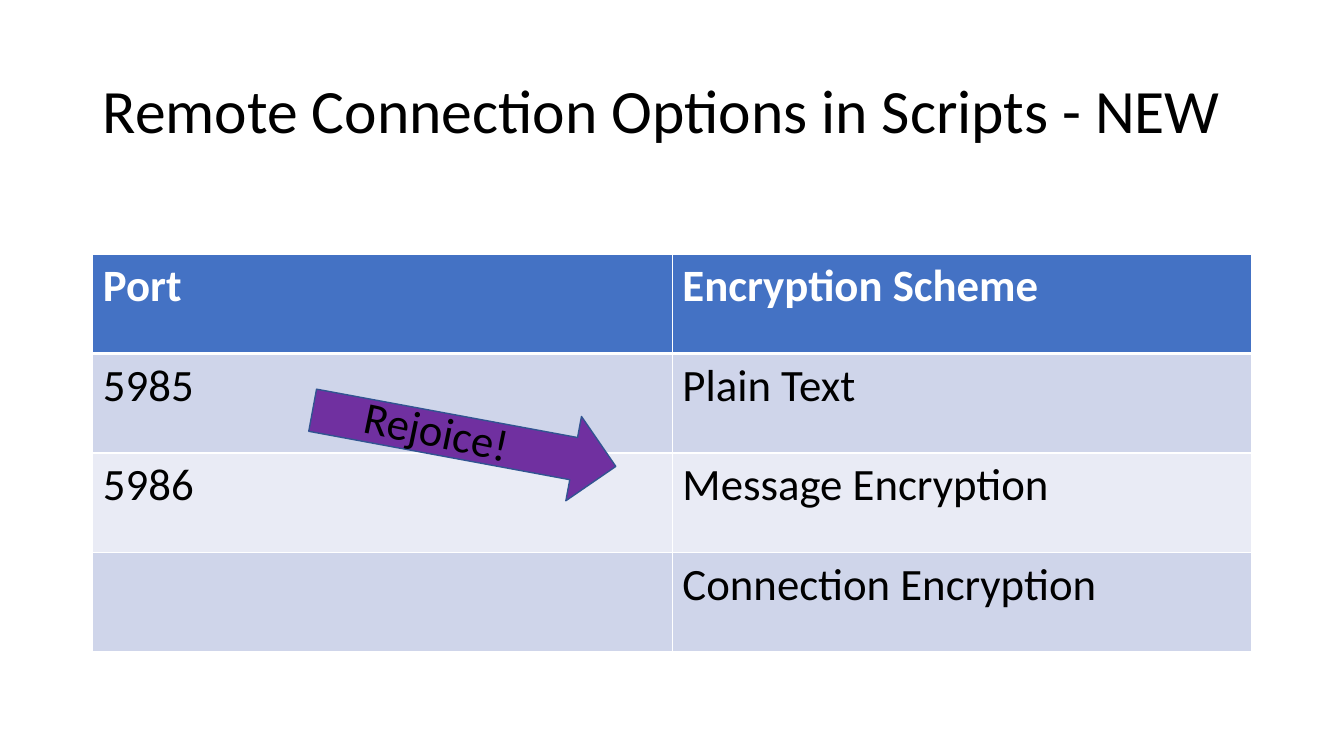
import pptx
import pptx.dml.color
import pptx.enum.shapes
import pptx.enum.text
import pptx.oxml
import pptx.oxml.ns
import pptx.util

Cm = pptx.util.Cm
Pt = pptx.util.Pt

COLORS = {
    "black": "000000",
    "white": "FFFFFF",
    "header": "4472C4",
    "dark band": "CFD5EA",
    "light band": "E9EBF5",
    "arrow": "7030A0",
    "arrow line": "325491",
}
ROWS = [
    ("Port", "Encryption Scheme"),
    ("5985", "Plain Text"),
    ("5986", "Message Encryption"),
    ("", "Connection Encryption"),
]


def color(name):
    return pptx.dml.color.RGBColor.from_string(COLORS[name])


def write_text(frame, text, size=32, ink="black", bold=False, spacing=1.0):
    frame.word_wrap = True
    para = frame.paragraphs[0]
    para.line_spacing = spacing
    span = para.add_run()
    span.text = text
    span.font.name = "Calibri"
    span.font.size = Pt(size)
    span.font.bold = bold
    span.font.color.rgb = color(ink)


def add_text(page, text, left, top, width, height, rotation=0,
             anchor=pptx.enum.text.MSO_ANCHOR.TOP, **text_format):
    box = page.shapes.add_textbox(Cm(left), Cm(top), Cm(width), Cm(height))
    box.rotation = rotation
    box.text_frame.vertical_anchor = anchor
    write_text(box.text_frame, text, **text_format)


def set_borders(cell, top, bottom):
    """Draw white borders; top and bottom are widths in points."""
    properties = cell._tc.get_or_add_tcPr()
    widths = {"lnL": 1, "lnR": 1, "lnT": top, "lnB": bottom}
    for position, (side, width) in enumerate(widths.items()):
        border = pptx.oxml.parse_xml(
            f'<a:{side} {pptx.oxml.ns.nsdecls("a")} w="{Pt(width)}">'
            f'<a:solidFill><a:srgbClr val="{COLORS["white"]}"/></a:solidFill>'
            f'</a:{side}>')
        properties.insert(position, border)


def add_port_table(page, left, top, width, height):
    frame = page.shapes.add_table(len(ROWS), len(ROWS[0]), Cm(left), Cm(top),
                                  Cm(width), Cm(height))
    for row, texts in enumerate(ROWS):
        is_header = row == 0
        band = "header" if is_header else ("light band", "dark band")[row % 2]
        for column, text in enumerate(texts):
            cell = frame.table.cell(row, column)
            cell.fill.solid()
            cell.fill.fore_color.rgb = color(band)
            set_borders(cell, top=3 if row == 1 else 1,
                        bottom=3 if is_header else 1)
            if text:
                write_text(cell.text_frame, text, bold=is_header,
                           ink="white" if is_header else "black")


def add_arrow(page, left, top, width, height, rotation):
    arrow = page.shapes.add_shape(pptx.enum.shapes.MSO_SHAPE.DOWN_ARROW,
                                  Cm(left), Cm(top), Cm(width), Cm(height))
    arrow.rotation = rotation
    arrow.shadow.inherit = False
    arrow.fill.solid()
    arrow.fill.fore_color.rgb = color("arrow")
    arrow.line.color.rgb = color("arrow line")
    arrow.line.width = Pt(1)


def main():
    deck = pptx.Presentation()
    deck.slide_width, deck.slide_height = Cm(33.87), Cm(19.05)
    page = deck.slides.add_slide(deck.slide_layouts[6])
    add_text(page, "Remote Connection Options in Scripts - NEW",
             2.34, 1.02, 30.66, 3.68, size=44, spacing=0.9,
             anchor=pptx.enum.text.MSO_ANCHOR.MIDDLE)
    add_port_table(page, 2.34, 6.4, 29.21, 10.03)
    add_arrow(page, 10.62, 7.16, 2.16, 7.77, rotation=280.5)
    add_text(page, "Rejoice!", 8.89, 10.24, 6.32, 1.63, rotation=11.7)
    deck.save("out.pptx")


if __name__ == "__main__":
    main()
